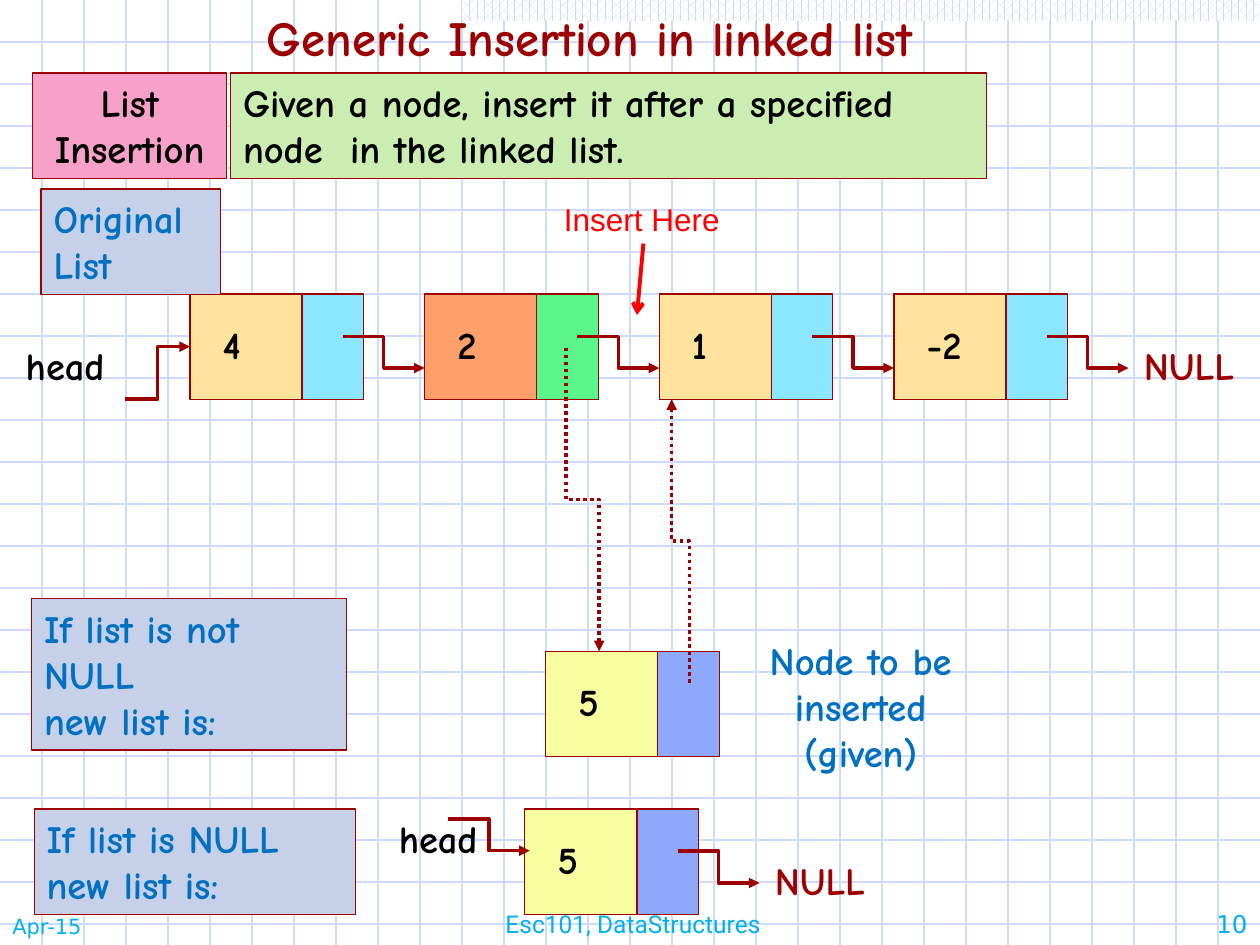
from lxml.etree import SubElement
from pptx import Presentation
from pptx.dml.color import RGBColor
from pptx.enum.dml import MSO_LINE, MSO_PATTERN
from pptx.enum.shapes import MSO_CONNECTOR, MSO_SHAPE
from pptx.enum.text import MSO_ANCHOR, PP_ALIGN
from pptx.oxml.ns import qn
from pptx.util import Cm, Pt

WHITE = RGBColor(0xFF, 0xFF, 0xFF)
BLACK = RGBColor(0x00, 0x00, 0x00)
GRID = RGBColor(0xCF, 0xDB, 0xFD)
MAROON = RGBColor(0x9D, 0x00, 0x00)
RED = RGBColor(0xFF, 0x00, 0x00)
BLUE = RGBColor(0x00, 0x70, 0xC0)
SKY = RGBColor(0x00, 0xB0, 0xF0)
PINK = RGBColor(0xF7, 0xA1, 0xCA)
LIME = RGBColor(0xCC, 0xED, 0xB1)
LAVENDER = RGBColor(0xC7, 0xD0, 0xE9)
SAND = RGBColor(0xFF, 0xE3, 0x9D)
CYAN = RGBColor(0x8B, 0xE6, 0xFF)
ORANGE = RGBColor(0xFF, 0xA0, 0x6B)
GREEN = RGBColor(0x5A, 0xF6, 0x8A)
YELLOW = RGBColor(0xF7, 0xFE, 0xA0)
INDIGO = RGBColor(0x8E, 0xA8, 0xFC)

SLIDE_WIDTH, SLIDE_HEIGHT = 25.4, 19.05
DATA_WIDTH, LINK_WIDTH, NODE_HEIGHT = 2.26, 1.24, 2.12
NODE_PITCH = 4.73


def add_box(slide, box, fill):
    """Add a filled rectangle with a thin maroon outline."""
    shape = slide.shapes.add_shape(MSO_SHAPE.RECTANGLE, *map(Cm, box))
    shape.shadow.inherit = False
    shape.fill.solid()
    shape.fill.fore_color.rgb = fill
    shape.line.color.rgb = MAROON
    shape.line.width = Pt(0.75)
    return shape


def add_text(slide, box, text, color=BLACK, fill=None, size=22, font="Comic Neue",
             bold=True, align=PP_ALIGN.LEFT, wrap=True, anchor=MSO_ANCHOR.TOP):
    """Add text in a plain text box, or in a rectangle when a fill is given."""
    if fill is None:
        shape = slide.shapes.add_textbox(*map(Cm, box))
    else:
        shape = add_box(slide, box, fill)
    frame = shape.text_frame
    frame.text = text
    frame.word_wrap = wrap
    frame.vertical_anchor = anchor
    for paragraph in frame.paragraphs:
        paragraph.alignment = align
        for run in paragraph.runs:
            run.font.name = font
            run.font.size = Pt(size)
            run.font.bold = bold
            run.font.color.rgb = color


def add_line(slide, start, end, color=MAROON, width=2.0, head=None,
             kind=MSO_CONNECTOR.STRAIGHT):
    """Add a connector without shadow, with an optional arrowhead at its end."""
    connector = slide.shapes.add_connector(kind, *map(Cm, (*start, *end)))
    connector.line.color.rgb = color
    connector.line.width = Pt(width)
    if head:
        SubElement(connector.line._get_or_add_ln(), qn("a:tailEnd"), type=head)
    SubElement(connector.element.spPr, qn("a:effectLst"))
    return connector


def add_elbow(slide, start, end):
    """Add a bent arrow that leaves and arrives horizontally."""
    return add_line(slide, start, end, head="triangle", kind=MSO_CONNECTOR.ELBOW)


def add_dotted_elbow(slide, start, end):
    """Add a dotted bent arrow that leaves and arrives vertically."""
    center_x, center_y = (start[0] + end[0]) / 2, (start[1] + end[1]) / 2
    across, down = start[0] - center_x, start[1] - center_y
    connector = add_elbow(slide, (center_x - down, center_y + across),
                          (center_x + down, center_y - across))
    connector.element.spPr.find(qn("a:xfrm")).set("rot", str(270 * 60000))
    connector.line.dash_style = MSO_LINE.ROUND_DOT


def add_node(slide, left, top, value, data_fill, link_fill, linked=True):
    """Add a list node with its value and, when linked, its outgoing arrow."""
    add_box(slide, (left, top, DATA_WIDTH, NODE_HEIGHT), data_fill)
    add_box(slide, (left + DATA_WIDTH, top, LINK_WIDTH, NODE_HEIGHT), link_fill)
    width = 0.97 if len(value) == 1 else 1.45
    add_text(slide, (left + 0.41, top + 0.42, width, 1.19), value, wrap=False)
    if linked:
        add_elbow(slide, (left + 3.08, top + 0.85), (left + NODE_PITCH, top + 1.49))


def add_null(slide, left, top):
    """Add the NULL label that ends the list whose last node is at left, top."""
    add_text(slide, (left + 4.79, top + 0.85, 2.57, 1.19), "NULL", MAROON, wrap=False)


def add_background(slide, width, height):
    """Draw the pale grid and the patterned strip along the top edge."""
    step = 2.54 / 3
    for row in range(1, 23):
        add_line(slide, (0, row * step), (width, row * step), GRID, 0.75)
    for column in range(1, 30):
        add_line(slide, (column * step, 0), (column * step, height), GRID, 0.75)
    strip = slide.shapes.add_shape(MSO_SHAPE.RECTANGLE, Cm(9.31), Cm(0),
                                   Cm(width - 9.31), Cm(0.42))
    strip.shadow.inherit = False
    strip.fill.patterned()
    strip.fill.pattern = MSO_PATTERN.PERCENT_60
    strip.fill.fore_color.rgb = GRID
    strip.fill.back_color.rgb = WHITE
    strip.line.fill.background()


def add_heading(slide, left, top):
    """Add the title and the statement of the task."""
    add_text(slide, (left + 4.47, top, 15.7, 1.45), "Generic Insertion in linked list",
             MAROON, size=28, wrap=False)
    add_text(slide, (left, top + 1.45, 3.91, 2.13), "List\nInsertion", fill=PINK,
             align=PP_ALIGN.CENTER, wrap=False)
    add_text(slide, (left + 3.99, top + 1.45, 15.24, 2.13),
             "Given a node, insert it after a specified node  in the linked list.", fill=LIME)


def add_original_list(slide, left, top):
    """Add the four-node list with its head, NULL end and insertion mark."""
    nodes = [("4", SAND, CYAN), ("2", ORANGE, GREEN), ("1", SAND, CYAN), ("-2", SAND, CYAN)]
    for index, (value, data_fill, link_fill) in enumerate(nodes):
        add_node(slide, left + index * NODE_PITCH, top, value, data_fill, link_fill)
    add_null(slide, left + 3 * NODE_PITCH, top)
    add_text(slide, (left - 3.56, top + 0.85, 2.26, 1.19), "head", wrap=False)
    add_elbow(slide, (left - 1.3, top + NODE_HEIGHT), (left, top + 1.06))
    add_text(slide, (left - 3, top - 2.12, 3.61, 2.13), "Original\nList", BLUE, LAVENDER)
    add_text(slide, (left + 7.29, top - 2.03, 3.68, 1.02), "Insert Here", RED,
             size=18, font="Arial", bold=False, wrap=False)
    add_line(slide, (left + 9.14, top - 1.02), (left + 9.01, top + 0.42), RED, 2.25, "arrow")


def add_given_node(slide, left, top):
    """Add the node to insert, its caption and the two dotted links."""
    add_node(slide, left, top, "5", YELLOW, INDIGO, linked=False)
    add_text(slide, (left + 3.81, top - 0.42, 5.08, 3.05), "Node to be inserted (given)",
             BLUE, align=PP_ALIGN.CENTER)
    add_dotted_elbow(slide, (left + 0.41, top - 6.12), (left + 1.08, top))
    add_dotted_elbow(slide, (left + 2.9, top + 0.64), (left + 2.54, top - 5.08))


def add_new_list(slide, left, top):
    """Add the one-node list that results from an empty list."""
    add_text(slide, (left - 2.79, top, 2.29, 1.19), "head", wrap=False)
    add_node(slide, left, top, "5", YELLOW, INDIGO)
    add_elbow(slide, (left - 1.55, top + 0.2), (left + 0.1, top + 0.84))
    add_null(slide, left, top)


def add_cases(slide, left, top):
    """Add the captions for the two cases."""
    add_text(slide, (left, top, 6.35, 3.05), "If list is not NULL\nnew list is:", BLUE, LAVENDER)
    add_text(slide, (left + 0.05, top + 4.24, 6.48, 2.13), "If list is NULL\nnew list is:",
             BLUE, LAVENDER, wrap=False)


def add_footer(slide, top, height):
    """Add the date, course name and slide number."""
    parts = [(0, 5.28, "Apr-15", 12, "DejaVu Sans", PP_ALIGN.LEFT),
             (8.18, 9.17, "Esc101, DataStructures", 14, "Roboto", PP_ALIGN.CENTER),
             (SLIDE_WIDTH - 5.28, 5.28, "10", 14, "DejaVu Sans", PP_ALIGN.RIGHT)]
    for left, width, text, size, font, align in parts:
        add_text(slide, (left, top, width, height), text, SKY, size=size, font=font,
                 bold=False, align=align, anchor=MSO_ANCHOR.BOTTOM)


def main():
    """Build the slide and save it."""
    presentation = Presentation()
    presentation.slide_width, presentation.slide_height = Cm(SLIDE_WIDTH), Cm(SLIDE_HEIGHT)
    slide = presentation.slides.add_slide(presentation.slide_layouts[6])
    add_background(slide, SLIDE_WIDTH, SLIDE_HEIGHT)
    add_heading(slide, 0.66, 0.02)
    add_cases(slide, 0.64, 12.07)
    add_new_list(slide, 10.58, 16.31)
    add_original_list(slide, 3.83, 5.93)
    add_given_node(slide, 11, 13.13)
    add_footer(slide, 17.78, 1.27)
    presentation.save("out.pptx")


if __name__ == "__main__":
    main()
